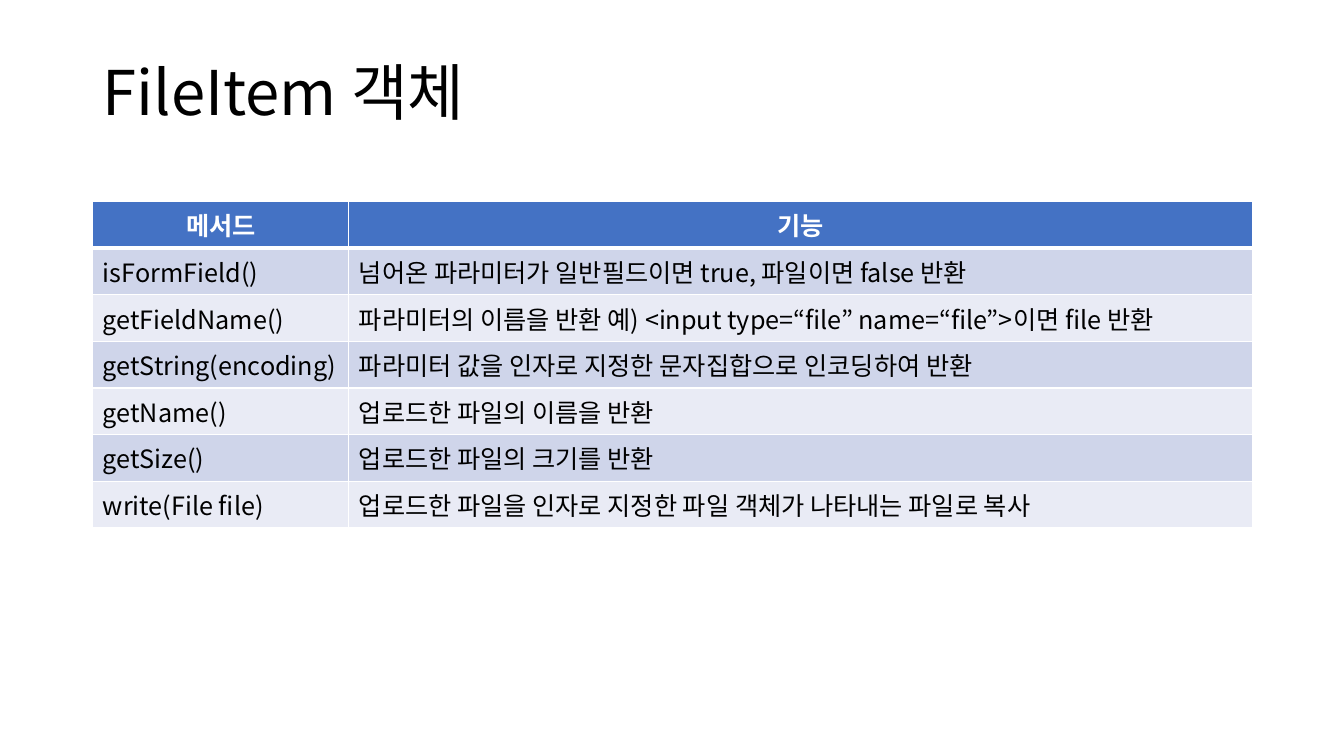
from dataclasses import dataclass

from lxml import etree
from pptx import Presentation
from pptx.dml.color import RGBColor
from pptx.enum.text import MSO_ANCHOR, MSO_AUTO_SIZE, PP_ALIGN
from pptx.oxml.ns import qn
from pptx.util import Inches, Pt

MIDDLE = MSO_ANCHOR.MIDDLE
NO_FIT = MSO_AUTO_SIZE.NONE
LEFT, CENTER = PP_ALIGN.LEFT, PP_ALIGN.CENTER
TITLE_ONLY = 5


@dataclass(frozen=True)
class Theme:
    """Colours, font and type sizes of the slide."""
    font: str = "Noto Sans CJK KR"
    title: int = 44
    body: int = 18
    ink: str = "000000"
    white: str = "FFFFFF"
    head: str = "4472C4"
    bands: tuple = ("E9EBF5", "CFD5EA")


THEME = Theme()
ROWS = [
    ("메서드", "기능"),
    ("isFormField()", "넘어온 파라미터가 일반필드이면 true, 파일이면 false 반환"),
    ("getFieldName()", "파라미터의 이름을 반환 예) <input type=“file” name=“file”>이면 file 반환"),
    ("getString(encoding)", "파라미터 값을 인자로 지정한 문자집합으로 인코딩하여 반환"),
    ("getName()", "업로드한 파일의 이름을 반환"),
    ("getSize()", "업로드한 파일의 크기를 반환"),
    ("write(File file)", "업로드한 파일을 인자로 지정한 파일 객체가 나타내는 파일로 복사"),
]


def add_run(para, text, size, color, bold=False):
    """Add one styled run to a paragraph."""
    run = para.add_run()
    run.text = text
    font = run.font
    font.name, font.size, font.bold = THEME.font, Pt(size), bold
    font.color.rgb = RGBColor.from_string(color)
    props = run._r.get_or_add_rPr()
    etree.SubElement(props, qn("a:ea"), typeface=THEME.font)


def add_edges(cell, top, base):
    """Draw white cell borders with the given top and base widths."""
    props = cell._tc.get_or_add_tcPr()
    for side, width in zip("LRTB", (1, 1, top, base)):
        line = etree.SubElement(props, qn(f"a:ln{side}"), w=str(Pt(width)))
        fill = etree.SubElement(line, qn("a:solidFill"))
        etree.SubElement(fill, qn("a:srgbClr"), val=THEME.white)


def add_title(slide, text, left, top, width, height):
    """Place the title in its box."""
    title = slide.shapes.title
    title.left, title.top = Inches(left), Inches(top)
    title.width, title.height = Inches(width), Inches(height)
    frame = title.text_frame
    frame.word_wrap, frame.auto_size = True, NO_FIT
    frame.vertical_anchor = MIDDLE
    para = frame.paragraphs[0]
    para.alignment, para.line_spacing = LEFT, 0.9
    add_run(para, text, THEME.title, THEME.ink)


def add_grid(slide, rows, left, top, width, height, first):
    """Place a banded table whose first column has the given width."""
    table = slide.shapes.add_table(
        len(rows), 2, Inches(left), Inches(top), Inches(width), Inches(height)
    ).table
    table.columns[0].width = Inches(first)
    table.columns[1].width = Inches(width - first)
    for i, row in enumerate(rows):
        head = i == 0
        shade = THEME.head if head else THEME.bands[i % 2]
        for j, text in enumerate(row):
            cell = table.cell(i, j)
            add_edges(cell, 3 if i == 1 else 1, 3 if head else 1)
            cell.fill.solid()
            cell.fill.fore_color.rgb = RGBColor.from_string(shade)
            para = cell.text_frame.paragraphs[0]
            para.alignment = CENTER if head else LEFT
            add_run(para, text, THEME.body, THEME.white if head else THEME.ink, head)


def main():
    """Build and save the slide."""
    deck = Presentation()
    deck.slide_width, deck.slide_height = Inches(13.33), Inches(7.5)
    slide = deck.slides.add_slide(deck.slide_layouts[TITLE_ONLY])
    left, width = 0.92, 11.5
    add_title(slide, "FileItem 객체", left, 0.22, width, 1.45)
    add_grid(slide, ROWS, left, 2, width, 2.83, 2.54)
    deck.save("out.pptx")


if __name__ == "__main__":
    main()
